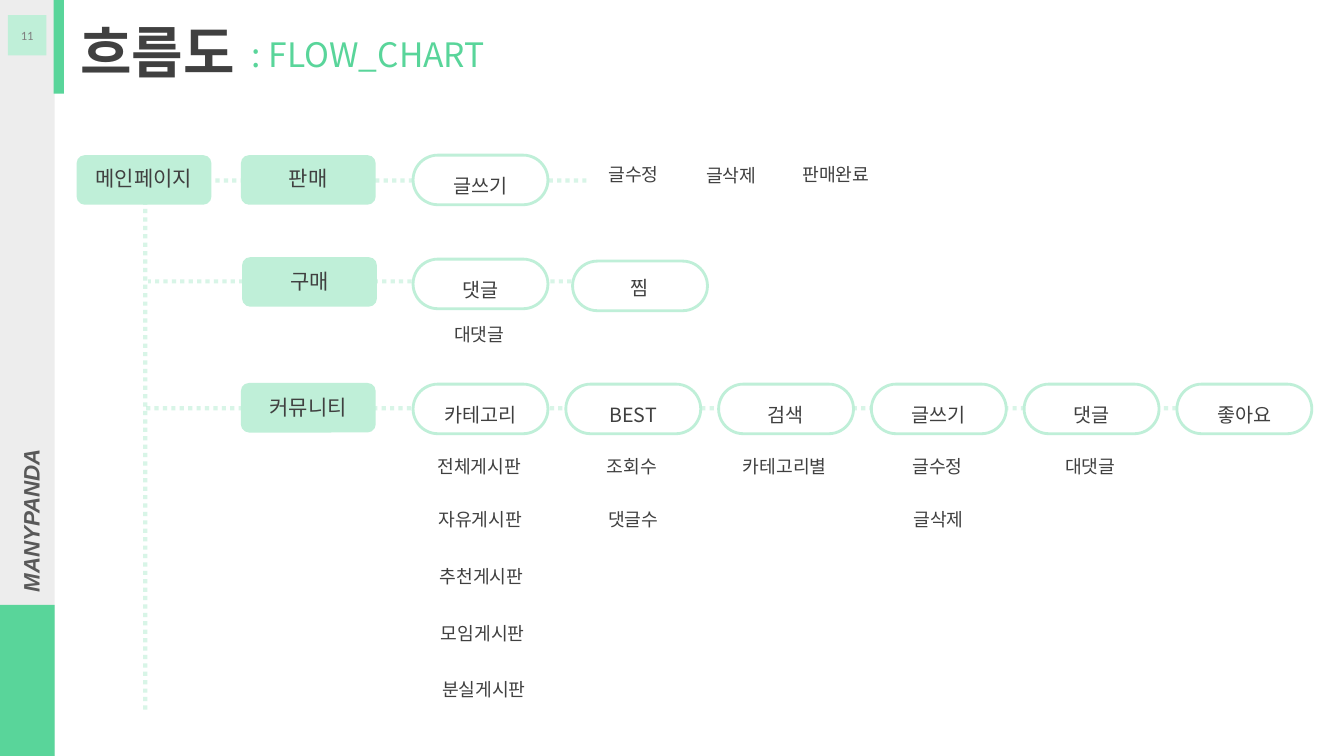
from dataclasses import dataclass

from pptx import Presentation
from pptx.dml.color import RGBColor
from pptx.enum.dml import MSO_LINE
from pptx.enum.shapes import MSO_CONNECTOR, MSO_SHAPE
from pptx.enum.text import MSO_ANCHOR, PP_ALIGN
from pptx.oxml.ns import qn
from pptx.shapes.base import BaseShape
from pptx.slide import Slide
from pptx.util import Cm, Pt
from lxml.etree import SubElement


@dataclass(frozen=True)
class Theme:
    green: str = "59D59A"
    mint: str = "BFEFD8"
    side: str = "D9D9D9"
    white: str = "FFFFFF"
    dark: str = "404040"
    brand: str = "595959"
    muted: str = "808080"
    font: str = "Noto Sans CJK KR"
    brand_font: str = "Arial"
    number_font: str = "Calibri"
    title_size: int = 40
    subtitle_size: int = 24
    brand_size: int = 16
    block_size: int = 15
    pill_size: int = 14
    note_size: int = 13
    number_size: int = 9


@dataclass(frozen=True)
class Node:
    """A labelled box; lengths are in centimetres."""
    text: str
    left: float
    top: float
    inset: float
    pill: bool = False


@dataclass(frozen=True)
class Note:
    text: str
    left: float
    top: float


@dataclass(frozen=True)
class Link:
    x1: float
    y1: float
    x2: float
    y2: float


@dataclass(frozen=True)
class Column:
    head: str
    notes: tuple[str, ...] = ()


T = Theme()
NODE_W, NODE_H = 3.4, 1.25
PILL_LEFT, PILL_STEP, PILL_INSET = 10.41, 3.85, 0.28
COMMUNITY_TOP = 9.68
NOTE_ROWS = (11.48, 12.8, 14.25, 15.67, 17.09)

LINKS = [
    Link(30.71, 10.29, 3.68, 10.29),
    Link(3.66, 17.88, 3.66, 5),
    Link(10.41, 4.55, 5.41, 4.55),
    Link(14.4, 7.09, 3.73, 7.09),
    Link(14.78, 4.55, 13.82, 4.55),
]
NODES = [
    Node("메인페이지", 1.93, 3.91, 0.2),
    Node("판매", 6.07, 3.91, 0.2),
    Node("구매", 6.1, 6.48, 0.23),
    Node("커뮤니티", 6.07, 9.65, 0.23),
    Node("글쓰기", PILL_LEFT, 3.91, PILL_INSET, True),
    Node("댓글", PILL_LEFT, 6.53, PILL_INSET, True),
    Node("찜", 14.43, 6.58, 0.18, True),
]
NOTES = [
    Note("글수정", 14.43, 4.11),
    Note("글삭제", 16.89, 4.14),
    Note("판매완료", 19.53, 4.11),
    Note("대댓글", 10.54, 8.15),
]
COMMUNITY = [
    Column("카테고리", ("전체게시판", "자유게시판", "추천게시판", "모임게시판", "분실게시판")),
    Column("BEST", ("조회수", "댓글수")),
    Column("검색", ("카테고리별",)),
    Column("글쓰기", ("글수정", "글삭제")),
    Column("댓글", ("대댓글",)),
    Column("좋아요"),
]


def write(sp: BaseShape, text: str, size: int, color: str = T.dark, font: str = T.font,
          align: PP_ALIGN = PP_ALIGN.CENTER, anchor: MSO_ANCHOR = MSO_ANCHOR.MIDDLE,
          left: float = 0, top: float = 0, bold: bool = False, italic: bool = False) -> None:
    tf = sp.text_frame
    tf.word_wrap = True
    tf.vertical_anchor = anchor
    tf.margin_left, tf.margin_top = Cm(left), Cm(top)
    tf.margin_right = tf.margin_bottom = 0
    p = tf.paragraphs[0]
    p.alignment = align
    r = p.add_run()
    r.text = text
    r.font.size, r.font.name = Pt(size), font
    r.font.bold, r.font.italic = bold, italic
    r.font.color.rgb = RGBColor.from_string(color)
    SubElement(r.font._element, qn("a:ea")).set("typeface", font)


def set_alpha(parent, percent: int) -> None:
    color = next(parent.iter(qn("a:srgbClr")))
    SubElement(color, qn("a:alpha")).set("val", str(percent * 1000))


def add_box(s: Slide, left: float, top: float, width: float, height: float, fill: str,
            kind: MSO_SHAPE = MSO_SHAPE.RECTANGLE) -> BaseShape:
    sp = s.shapes.add_shape(kind, Cm(left), Cm(top), Cm(width), Cm(height))
    sp.shadow.inherit = False
    sp.fill.solid()
    sp.fill.fore_color.rgb = RGBColor.from_string(fill)
    sp.line.fill.background()
    return sp


def add_label(s: Slide, left: float, top: float, width: float, height: float) -> BaseShape:
    return s.shapes.add_textbox(Cm(left), Cm(top), Cm(width), Cm(height))


def add_link(s: Slide, link: Link) -> None:
    cx = s.shapes.add_connector(MSO_CONNECTOR.STRAIGHT, Cm(link.x1), Cm(link.y1),
                                Cm(link.x2), Cm(link.y2))
    cx.line.width = Pt(3)
    cx.line.color.rgb = RGBColor.from_string(T.mint)
    cx.line.dash_style = MSO_LINE.ROUND_DOT
    sp_pr = cx._element.spPr
    set_alpha(sp_pr, 60)
    SubElement(sp_pr, qn("a:effectLst"))


def add_node(s: Slide, node: Node) -> None:
    sp = add_box(s, node.left, node.top, NODE_W, NODE_H,
                 T.white if node.pill else T.mint, MSO_SHAPE.ROUNDED_RECTANGLE)
    if node.pill:
        sp.adjustments[0] = 0.5
        sp.line.color.rgb = RGBColor.from_string(T.mint)
        sp.line.width = Pt(2)
    write(sp, node.text, T.pill_size if node.pill else T.block_size,
          anchor=MSO_ANCHOR.TOP, top=node.inset)


def add_note(s: Slide, note: Note) -> None:
    sp = add_label(s, note.left, note.top, 3.07, 0.8)
    write(sp, note.text, T.note_size, anchor=MSO_ANCHOR.TOP)


def add_frame(s: Slide) -> None:
    """Draw the sidebar, page number and headings."""
    set_alpha(add_box(s, 0, 0, 1.38, 19.05, T.side)._element.spPr, 46)
    add_box(s, 0, 15.24, 1.38, 3.81, T.green)
    brand = add_label(s, -3.05, 12.6, 7.65, 1.04)
    brand.rotation = 270
    write(brand, "MANYPANDA", T.brand_size, T.brand, T.brand_font, bold=True, italic=True)
    write(add_box(s, 0.2, 0.38, 0.97, 1.02, T.mint), "11", T.number_size, T.muted, T.number_font)
    add_box(s, 1.35, 0, 0.26, 2.36, T.green)

    title = s.shapes.title
    title.left, title.top, title.width, title.height = Cm(1.78), Cm(0.18), Cm(6.15), Cm(2.21)
    write(title, "흐름도", T.title_size, align=PP_ALIGN.LEFT, left=0.25, bold=True)
    write(add_label(s, 6.2, 0.86, 7.24, 1.24), ": FLOW_CHART", T.subtitle_size, T.green,
          align=PP_ALIGN.LEFT, anchor=MSO_ANCHOR.TOP, left=0.15)


def main() -> None:
    prs = Presentation()
    prs.slide_width, prs.slide_height = Cm(33.87), Cm(19.05)
    s = prs.slides.add_slide(prs.slide_layouts[5])
    add_frame(s)
    for link in LINKS:
        add_link(s, link)
    for node in NODES:
        add_node(s, node)
    for note in NOTES:
        add_note(s, note)
    for i, column in enumerate(COMMUNITY):
        left = PILL_LEFT + i * PILL_STEP
        add_node(s, Node(column.head, left, COMMUNITY_TOP, PILL_INSET, True))
        for row, (text, top) in enumerate(zip(column.notes, NOTE_ROWS)):
            add_note(s, Note(text, left + 0.13 + 0.03 * row, top))
    prs.save("out.pptx")


if __name__ == "__main__":
    main()
